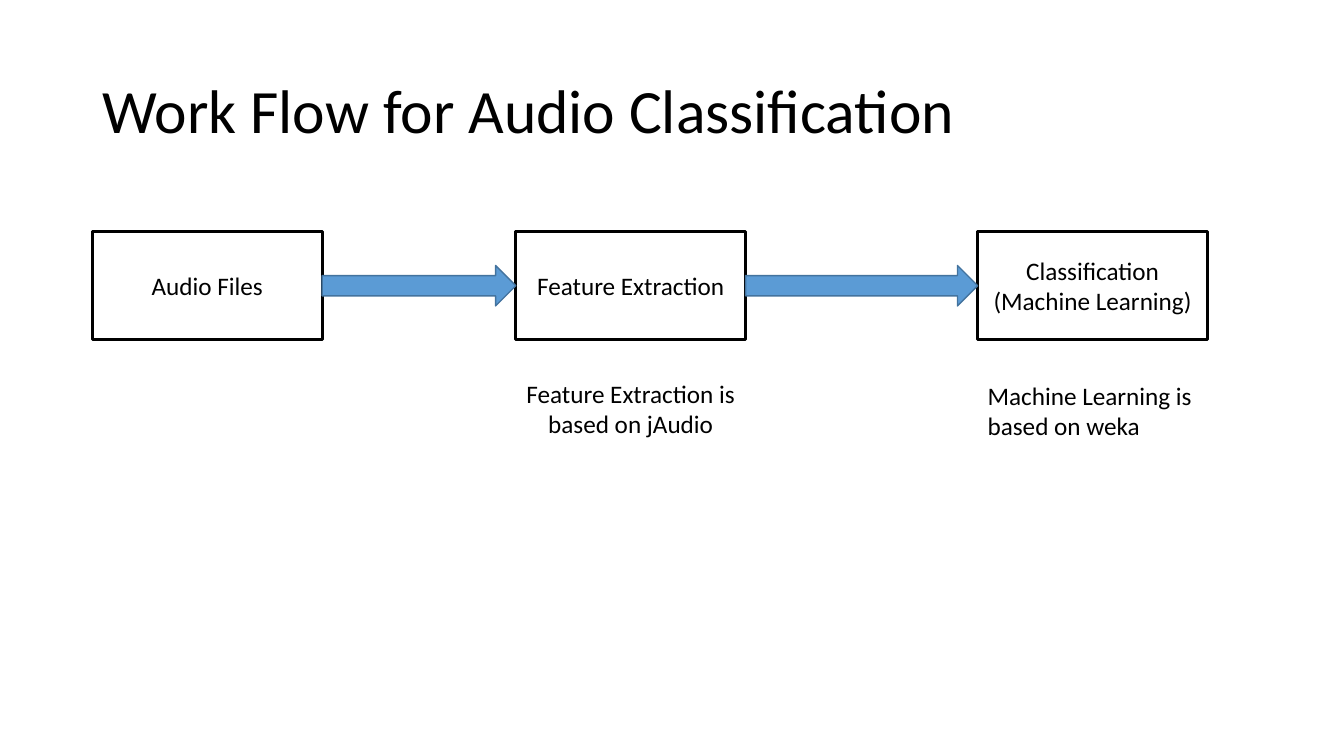
"""Build the audio classification work flow slide."""

from dataclasses import dataclass
from itertools import pairwise

from pptx import Presentation
from pptx.dml.color import RGBColor
from pptx.enum.shapes import MSO_SHAPE as Preset
from pptx.enum.text import MSO_ANCHOR as Anchor, MSO_AUTO_SIZE as AutoSize, PP_ALIGN as Align
from pptx.slide import Slide
from pptx.text.text import TextFrame
from pptx.util import Cm, Pt


@dataclass(frozen=True)
class Theme:
    font: str = "Calibri"
    title_size: float = 44
    body_size: float = 18
    ink: RGBColor = RGBColor(0x00, 0x00, 0x00)
    arrow_fill: RGBColor = RGBColor(0x5B, 0x9B, 0xD5)
    arrow_line: RGBColor = RGBColor(0x43, 0x73, 0x9E)
    box_line_width: float = 2.25
    arrow_line_width: float = 1


@dataclass(frozen=True)
class Step:
    left: float
    label: str
    note: str = ""
    note_top: float = 9.4
    note_align: Align = Align.CENTER


THEME = Theme()
STEP_TOP, STEP_WIDTH, STEP_HEIGHT = 5.84, 5.79, 2.72
ARROW_HEIGHT = 1.02
NOTE_HEIGHT = 1.8
STEPS = [
    Step(2.33, "Audio Files"),
    Step(13.0, "Feature Extraction", "Feature Extraction is based on jAudio"),
    Step(24.64, "Classification\n(Machine Learning)",
         "Machine Learning is based on weka", 9.45, Align.LEFT),
]


def write(frame: TextFrame, text: str, size: float, align: Align, anchor: Anchor) -> None:
    frame.text = text
    frame.word_wrap = True
    frame.vertical_anchor = anchor
    for paragraph in frame.paragraphs:
        paragraph.alignment = align
        paragraph.font.name = THEME.font
        paragraph.font.size = Pt(size)
        paragraph.font.color.rgb = THEME.ink


def add_title(slide: Slide, text: str) -> None:
    title = slide.shapes.title
    title.left, title.top = Cm(2.33), Cm(1.01)
    title.width, title.height = Cm(29.21), Cm(3.68)
    write(title.text_frame, text, THEME.title_size, Align.LEFT, Anchor.MIDDLE)
    title.text_frame.auto_size = AutoSize.NONE
    title.text_frame.paragraphs[0].line_spacing = 0.9


def add_step(slide: Slide, step: Step) -> None:
    box = slide.shapes.add_shape(Preset.RECTANGLE, Cm(step.left), Cm(STEP_TOP),
                                 Cm(STEP_WIDTH), Cm(STEP_HEIGHT))
    box.shadow.inherit = False
    box.fill.background()
    box.line.color.rgb = THEME.ink
    box.line.width = Pt(THEME.box_line_width)
    write(box.text_frame, step.label, THEME.body_size, Align.CENTER, Anchor.MIDDLE)


def add_arrow(slide: Slide, start: Step, end: Step) -> None:
    left = start.left + STEP_WIDTH
    top = STEP_TOP + (STEP_HEIGHT - ARROW_HEIGHT) / 2
    arrow = slide.shapes.add_shape(Preset.RIGHT_ARROW, Cm(left), Cm(top),
                                   Cm(end.left - left), Cm(ARROW_HEIGHT))
    arrow.shadow.inherit = False
    arrow.fill.solid()
    arrow.fill.fore_color.rgb = THEME.arrow_fill
    arrow.line.color.rgb = THEME.arrow_line
    arrow.line.width = Pt(THEME.arrow_line_width)


def add_note(slide: Slide, step: Step) -> None:
    note = slide.shapes.add_textbox(Cm(step.left), Cm(step.note_top),
                                    Cm(STEP_WIDTH), Cm(NOTE_HEIGHT))
    write(note.text_frame, step.note, THEME.body_size, step.note_align, Anchor.TOP)
    note.text_frame.auto_size = AutoSize.SHAPE_TO_FIT_TEXT


def main() -> None:
    presentation = Presentation()
    presentation.slide_width, presentation.slide_height = Cm(33.87), Cm(19.05)
    slide = presentation.slides.add_slide(presentation.slide_layouts.get_by_name("Title Only"))
    add_title(slide, "Work Flow for Audio Classification")
    for step in STEPS:
        add_step(slide, step)
    for start, end in pairwise(STEPS):
        add_arrow(slide, start, end)
    for step in STEPS:
        if step.note:
            add_note(slide, step)
    presentation.save("out.pptx")


if __name__ == "__main__":
    main()
